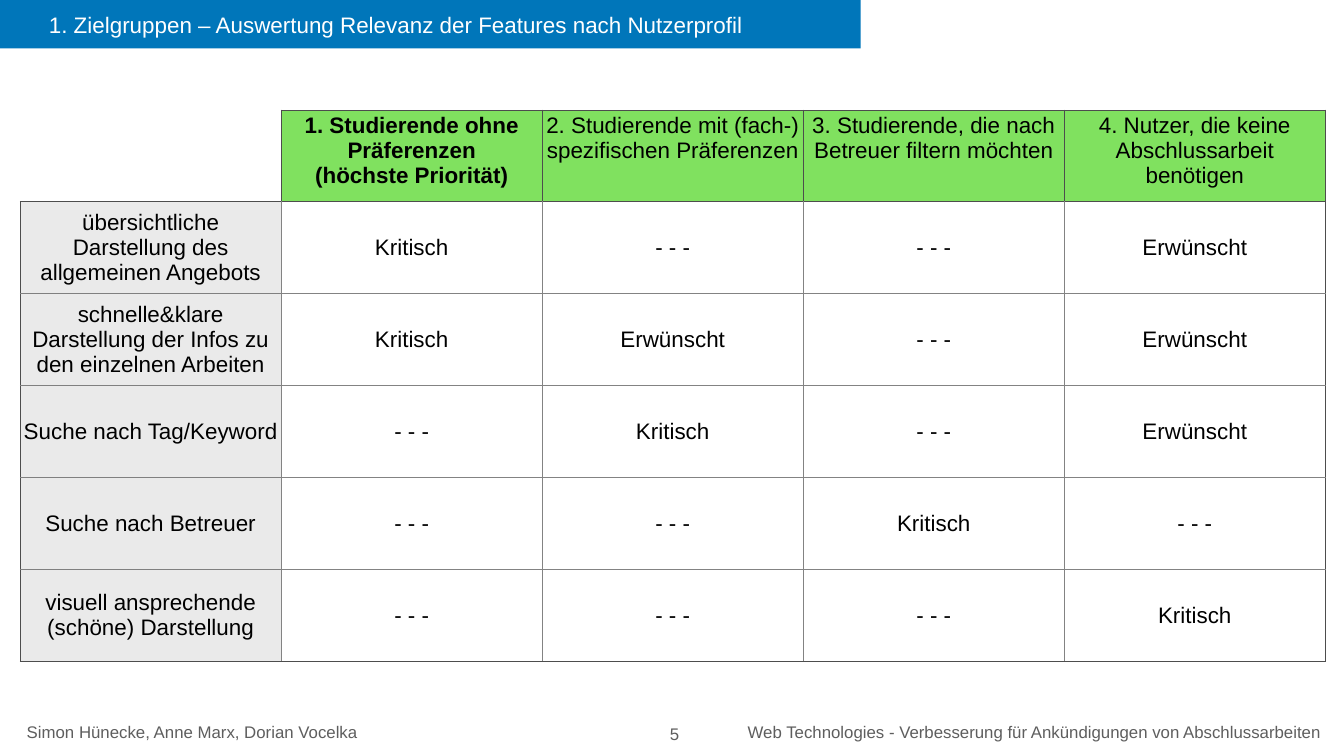
from lxml.etree import SubElement
from pptx import Presentation
from pptx.dml.color import RGBColor
from pptx.enum.text import MSO_ANCHOR as Anchor, MSO_AUTO_SIZE as AutoSize, PP_ALIGN as Align
from pptx.oxml.ns import qn
from pptx.util import Inches, Pt

HEADERS = [
    "1. Studierende ohne Präferenzen\n(höchste Priorität)",
    "2. Studierende mit (fach-) spezifischen Präferenzen",
    "3. Studierende, die nach Betreuer filtern möchten",
    "4. Nutzer, die keine Abschlussarbeit benötigen",
]
CRITICAL, DESIRED, NONE = "Kritisch", "Erwünscht", "- - -"
FEATURES = [
    ("übersichtliche Darstellung des allgemeinen Angebots", CRITICAL, NONE, NONE, DESIRED),
    ("schnelle&klare Darstellung der Infos zu den einzelnen Arbeiten", CRITICAL, DESIRED, NONE, DESIRED),
    ("Suche nach Tag/Keyword", NONE, CRITICAL, NONE, DESIRED),
    ("Suche nach Betreuer", NONE, NONE, CRITICAL, NONE),
    ("visuell ansprechende (schöne) Darstellung", NONE, NONE, NONE, CRITICAL),
]
INSET = 0.06
DARK, GREY, LABEL_GREY = "4D4D4D", "838383", "808080"


def color(hex_string):
    """Return the colour for a hex string."""
    return RGBColor.from_string(hex_string)


def write(paragraph, text, size, hex_string, align, bold=False):
    """Put formatted text into a paragraph."""
    paragraph.text = text
    paragraph.alignment = align
    for run in paragraph.runs:
        run.font.name = "Arial"
        run.font.size = Pt(size)
        run.font.bold = bold
        run.font.color.rgb = color(hex_string)


def set_insets(target, left=INSET):
    """Set equal margins, with an optional wider left one."""
    target.margin_left = Inches(left)
    target.margin_top = target.margin_right = target.margin_bottom = Inches(INSET)


def set_borders(cell, borders):
    """Draw the cell borders from a dictionary of side to colour."""
    properties = cell._tc.get_or_add_tcPr()
    for side in "LRTB":
        line = SubElement(properties, qn(f"a:ln{side}"), w=str(Pt(1)))
        if borders[side]:
            fill = SubElement(line, qn("a:solidFill"))
            SubElement(fill, qn("a:srgbClr"), val=borders[side])
        else:
            SubElement(line, qn("a:noFill"))


def border_colors(row, column, last_row, last_column):
    """Return the border colours for a table position."""
    if row == 0:
        outer = DARK if column else None
        return {"L": outer, "T": outer, "R": DARK, "B": DARK}
    inner = GREY if column else LABEL_GREY
    return {
        "L": inner if column else DARK,
        "T": DARK if row == 1 else inner,
        "R": DARK if column == last_column else inner,
        "B": DARK if row == last_row else inner,
    }


def add_title(slide, left, top, width, height):
    """Turn the title placeholder into the blue title bar."""
    title = slide.shapes.title
    title.left, title.top = Inches(left), Inches(top)
    title.width, title.height = Inches(width), Inches(height)
    title.fill.solid()
    title.fill.fore_color.rgb = color("0076BA")
    frame = title.text_frame
    frame.auto_size = AutoSize.NONE
    frame.vertical_anchor = Anchor.MIDDLE
    set_insets(frame, left=0.97)
    text = "1. Zielgruppen – Auswertung Relevanz der Features nach Nutzerprofil"
    write(frame.paragraphs[0], text, 32, "FFFFFF", Align.LEFT)


def add_relevance_table(slide, left, top, width, height):
    """Add the table of feature relevance for each user profile."""
    rows = [("", *HEADERS), *FEATURES]
    last_row, last_column = len(rows) - 1, len(HEADERS)
    box = [Inches(value) for value in (left, top, width, height)]
    table = slide.shapes.add_table(len(rows), last_column + 1, *box).table
    table.first_row = table.horz_banding = False
    for row, texts in enumerate(rows):
        for column, text in enumerate(texts):
            cell = table.cell(row, column)
            set_insets(cell)
            cell.vertical_anchor = Anchor.MIDDLE if row else Anchor.TOP
            set_borders(cell, border_colors(row, column, last_row, last_column))
            if row and column or not text:
                cell.fill.background()
            else:
                cell.fill.solid()
                cell.fill.fore_color.rgb = color("EAEAEA" if row else "80E15F")
            bold = row == 0 and column == 1
            write(cell.text_frame.paragraphs[0], text, 32, "000000", Align.CENTER, bold)


def add_footer_text(slide, text, left, top, width, height):
    """Add one grey footer text."""
    box = slide.shapes.add_textbox(Inches(left), Inches(top), Inches(width), Inches(height))
    frame = box.text_frame
    frame.word_wrap = False
    frame.vertical_anchor = Anchor.MIDDLE
    set_insets(frame)
    write(frame.paragraphs[0], text, 24, "5E5E5E", Align.CENTER)


def main():
    """Build and save the slide."""
    presentation = Presentation()
    presentation.slide_width, presentation.slide_height = Inches(26.67), Inches(15)
    slide = presentation.slides.add_slide(presentation.slide_layouts[5])
    add_title(slide, 0, 0, 17.08, 0.96)
    add_relevance_table(slide, 0.4, 2.18, 25.9, 10.94)
    add_footer_text(slide, "Simon Hünecke, Anne Marx, Dorian Vocelka", 0.42, 14.25, 6.78, 0.52)
    add_footer_text(slide, "5", 13.19, 14.31, 0.39, 0.5)
    project = "Web Technologies - Verbesserung für Ankündigungen von Abschlussarbeiten"
    add_footer_text(slide, project, 14.73, 14.26, 11.58, 0.5)
    presentation.save("out.pptx")


if __name__ == "__main__":
    main()
